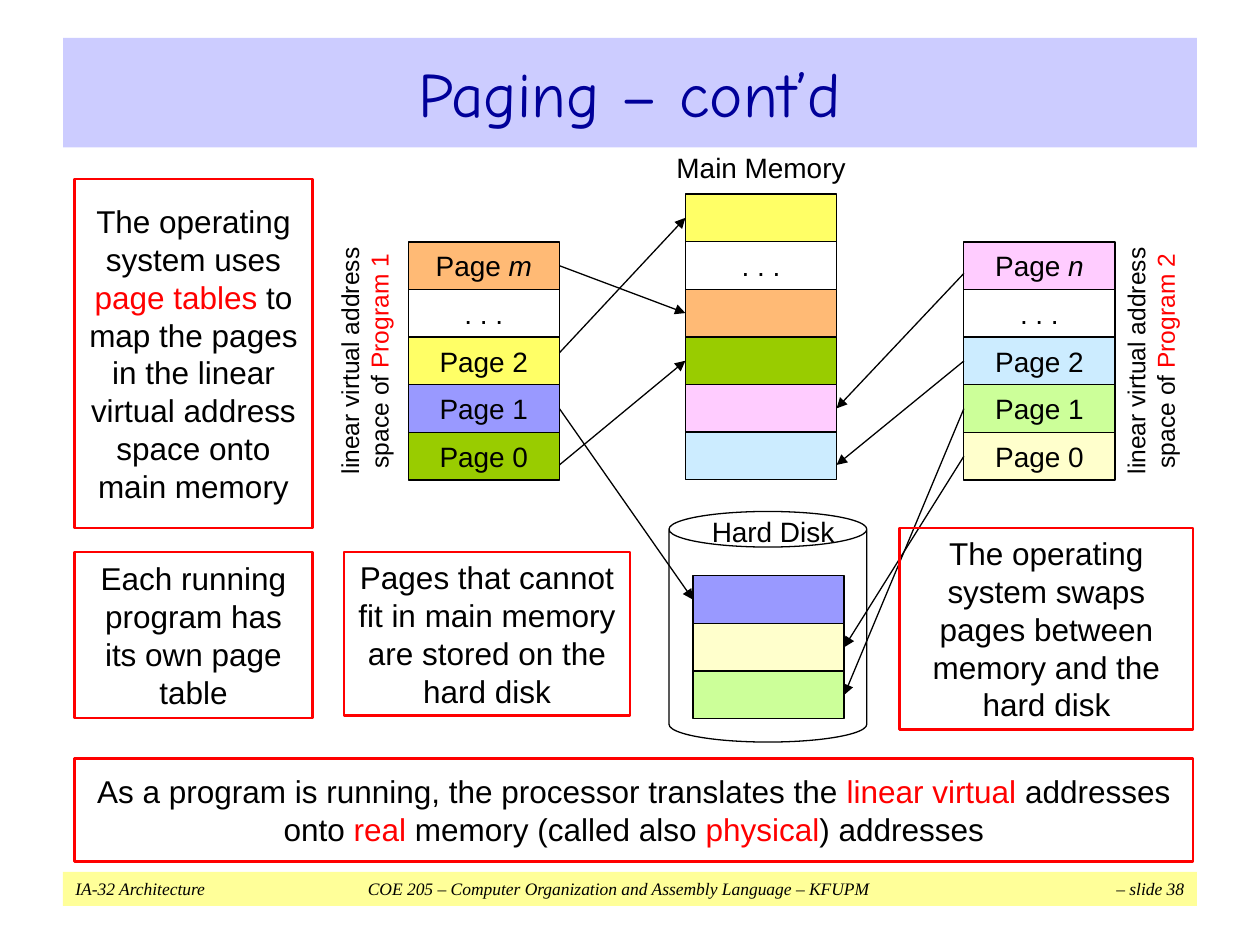
from lxml import etree
from pptx import Presentation
from pptx.dml.color import RGBColor
from pptx.enum import shapes, text
from pptx.oxml import ns
from pptx.util import Inches, Pt

BLACK, RED = "000000", "FF0000"
YELLOW, ORANGE, GREEN, BLUE = "FFFF66", "FFBA75", "99CC00", "9999FF"
PINK, SKY, LIME, CREAM = "FFCCFF", "CCECFF", "CCFF99", "FFFFCC"
LEFT, RIGHT = 1, 3


def rgb(value):
    return RGBColor.from_string(value)


def add_xml(parent, tag, **attrs):
    return etree.SubElement(parent, ns.qn(tag), attrs)


def write(tf, content, size=18, font="Arial", color=BLACK, mark=RED, italic=False,
          mark_italic=False, align=text.PP_ALIGN.CENTER, inset=0.1, inset_y=0.05):
    tf.word_wrap = True
    tf.auto_size = text.MSO_AUTO_SIZE.NONE
    tf.vertical_anchor = text.MSO_ANCHOR.MIDDLE
    tf.margin_left = tf.margin_right = Inches(inset)
    tf.margin_top = tf.margin_bottom = Inches(inset_y)
    p = tf.paragraphs[0]
    p.alignment = align
    for i, part in enumerate(content.split("|")):
        marked = i % 2 == 1
        r = p.add_run()
        r.text = part
        r.font.name = font
        r.font.size = Pt(size)
        r.font.italic = italic or (marked and mark_italic)
        r.font.color.rgb = rgb(mark if marked else color)
    return p


class Deck:
    cell_w = 1.2
    pitch = 0.378
    thin = 0.75
    thick = 1.5

    def __init__(self, prs):
        self.s = prs.slides.add_slide(prs.slide_layouts[5])

    def title(self, content, x, y, w, h, fill):
        sp = self.s.shapes.title
        sp.left, sp.top, sp.width, sp.height = map(Inches, (x, y, w, h))
        sp.fill.solid()
        sp.fill.fore_color.rgb = rgb(fill)
        write(sp.text_frame, content, size=36, font="Comic Neue", color="000099")

    def shape(self, x, y, w, h, fill=None, line=BLACK, width=thin,
              kind=shapes.MSO_SHAPE.RECTANGLE):
        sp = self.s.shapes.add_shape(kind, *map(Inches, (x, y, w, h)))
        sp.shadow.inherit = False
        if fill:
            sp.fill.solid()
            sp.fill.fore_color.rgb = rgb(fill)
        else:
            sp.fill.background()
        if line:
            sp.line.color.rgb = rgb(line)
            sp.line.width = Pt(width)
        else:
            sp.line.fill.background()
        return sp

    def stack(self, x, y, cells):
        made = []
        for i, (fill, label) in enumerate(cells):
            sp = self.shape(x, y + i * self.pitch, self.cell_w, self.pitch, fill)
            if label:
                write(sp.text_frame, label, size=16, mark=BLACK, mark_italic=True)
            made.append(sp)
        return made

    def note(self, content, x, y, w, h, inset=0.1):
        sp = self.shape(x, y, w, h, line=RED, width=self.thick)
        write(sp.text_frame, content, inset=inset)

    def label(self, content, x, y, w, h, rotation=0, **fmt):
        sp = self.s.shapes.add_textbox(*map(Inches, (x, y, w, h)))
        sp.rotation = rotation
        write(sp.text_frame, content, **fmt)

    def footer(self, content, x, y, w, h, fill, tabs):
        sp = self.shape(x, y, w, h, fill, line=None)
        p = write(sp.text_frame, content, size=10, font="Times New Roman",
                  italic=True, align=text.PP_ALIGN.LEFT)
        tab_list = add_xml(p._p.get_or_add_pPr(), "a:tabLst")
        for pos, algn in tabs:
            add_xml(tab_list, "a:tab", pos=str(Inches(pos)), algn=algn)

    def arrow(self, start, start_side, end, end_side, start_y=None, end_y=None):
        ends = []
        for sp, side, y in ((start, start_side, start_y), (end, end_side, end_y)):
            x = sp.left + (sp.width if side == RIGHT else 0)
            ends += [x, sp.top + sp.height // 2 if y is None else Inches(y)]
        c = self.s.shapes.add_connector(shapes.MSO_CONNECTOR.STRAIGHT, *ends)
        if start_y is None:
            c.begin_connect(start, start_side)
        if end_y is None:
            c.end_connect(end, end_side)
        c.line.color.rgb = rgb(BLACK)
        c.line.width = Pt(self.thin)
        add_xml(c.line._get_or_add_ln(), "a:tailEnd", type="triangle")
        add_xml(c._element.spPr, "a:effectLst")


def main():
    prs = Presentation()
    prs.slide_width, prs.slide_height = Inches(10), Inches(7.5)
    d = Deck(prs)

    d.footer("IA-32 Architecture\tCOE 205 – Computer Organization and Assembly "
             "Language – KFUPM\t– slide 38", 0.5, 6.92, 9, 0.27, "FFFF99",
             [(4.31, "ctr"), (8.8, "r")])
    d.title("Paging – cont’d", 0.5, 0.3, 9, 0.87, "CCCCFF")

    program2 = d.stack(7.65, 1.92, [(PINK, "Page |n|"), (None, ". . ."), (SKY, "Page 2"),
                                    (LIME, "Page 1"), (CREAM, "Page 0")])
    program1 = d.stack(3.24, 1.92, [(ORANGE, "Page |m|"), (None, ". . ."), (YELLOW, "Page 2"),
                                    (BLUE, "Page 1"), (GREEN, "Page 0")])
    memory = d.stack(5.44, 1.54, [(YELLOW, ""), (None, ". . ."), (ORANGE, ""),
                                  (GREEN, ""), (PINK, ""), (SKY, "")])
    can = d.shape(5.31, 4.06, 1.57, 1.83, kind=shapes.MSO_SHAPE.CAN)
    can.adjustments[0] = 0.18
    disk = d.stack(5.5, 4.57, [(BLUE, ""), (CREAM, ""), (LIME, "")])

    d.arrow(program1[0], RIGHT, memory[2], LEFT)
    d.arrow(program1[2], RIGHT, memory[0], LEFT, start_y=2.8)
    d.arrow(program1[3], RIGHT, disk[0], LEFT)
    d.arrow(program1[4], RIGHT, memory[3], LEFT, start_y=3.69)
    d.arrow(program2[0], LEFT, memory[4], RIGHT, start_y=2.17)
    d.arrow(program2[2], LEFT, memory[5], RIGHT, end_y=3.69)
    d.arrow(program2[3], LEFT, disk[2], RIGHT)
    d.arrow(program2[4], LEFT, disk[1], RIGHT)

    d.label("Main Memory", 5, 1.17, 2.08, 0.31, size=16, inset_y=0)
    d.label("Hard Disk", 5.44, 4.06, 1.39, 0.31, size=16, inset_y=0)
    for number, x in ((1, 1.82), (2, 8.06)):
        d.label(f"linear virtual address space of |Program {number}|", x, 2.58, 2.14, 0.57,
                rotation=270, size=14, inset=0.08)

    d.note("Pages that cannot fit in main memory are stored on the hard disk",
           2.73, 4.38, 2.27, 1.3)
    d.note("Each running program has its own page table", 0.59, 4.38, 1.89, 1.32)
    d.note("The operating system uses |page tables| to map the pages in the linear "
           "virtual address space onto main memory", 0.59, 1.42, 1.89, 2.77)
    d.note("As a program is running, the processor translates the |linear virtual| "
           "addresses onto |real| memory (called also |physical|) addresses",
           0.59, 6.02, 8.88, 0.82)
    d.note("The operating system swaps pages between memory and the hard disk",
           7.14, 4.19, 2.33, 1.6, inset=0.04)

    prs.save("out.pptx")


if __name__ == "__main__":
    main()
